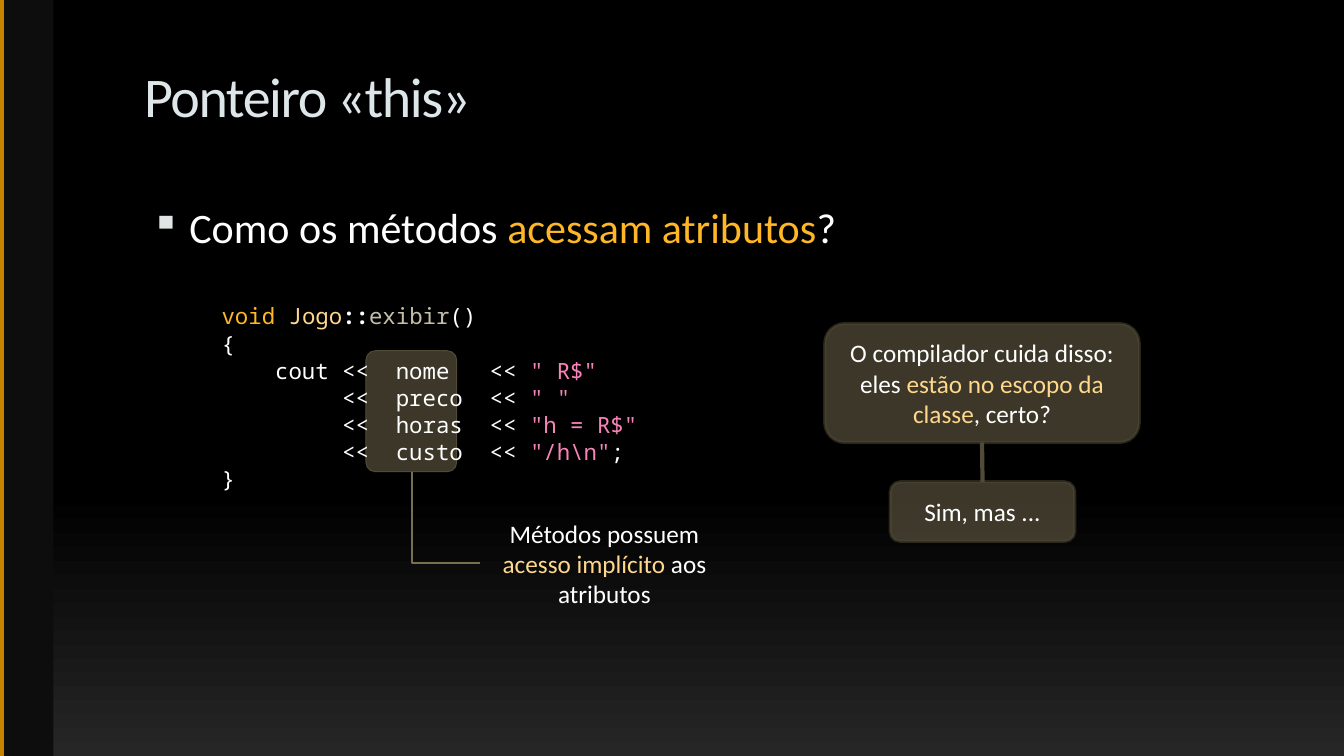
from copy import deepcopy

from lxml import etree
from pptx import Presentation
from pptx.dml.color import RGBColor
from pptx.enum.shapes import MSO_CONNECTOR, MSO_SHAPE
from pptx.enum.text import MSO_ANCHOR, PP_ALIGN
from pptx.oxml.ns import qn
from pptx.util import Inches, Pt

STRAIGHT, ELBOW = MSO_CONNECTOR.STRAIGHT, MSO_CONNECTOR.ELBOW
RECT, ROUND_RECT = MSO_SHAPE.RECTANGLE, MSO_SHAPE.ROUNDED_RECTANGLE
TOP, MIDDLE = MSO_ANCHOR.TOP, MSO_ANCHOR.MIDDLE
LEFT, CENTER = PP_ALIGN.LEFT, PP_ALIGN.CENTER
SANS, MONO = "Calibri", "Noto Sans Mono"

WHITE, ORANGE, YELLOW = "FFFFFF", "FFB728", "FFD88B"
PINK, SAND, OLIVE, EDGE = "F684B8", "C4BEA9", "786F51", "504A36"
BACKGROUND = [(0, "000000"), (0.65, "000000"), (1, "262626")]

# Each paragraph is a list of (text, colour) runs
TITLE = [[("Ponteiro «this»", "DDE6E8")]]
QUESTION = [[("Como os métodos ", WHITE), ("acessam atributos", ORANGE), ("?", WHITE)]]
CODE = [
    [("void ", ORANGE), ("Jogo", YELLOW), ("::", WHITE), ("exibir", SAND), ("()", WHITE)],
    [("{", WHITE)],
    [("    cout <<  nome   << ", WHITE), ('" R$"', PINK)],
    [("         <<  preco  << ", WHITE), ('" "', PINK)],
    [("         <<  horas  << ", WHITE), ('"h = R$"', PINK)],
    [("         <<  custo  << ", WHITE), ('"/h\\n"', PINK), (";", WHITE)],
    [("}", WHITE)],
]
NOTE = [[("Métodos possuem ", WHITE), ("acesso implícito", YELLOW), (" aos atributos", WHITE)]]
SCOPE = [[("O compilador cuida disso: eles ", WHITE),
          ("estão no escopo da classe", YELLOW), (", certo?", WHITE)]]
REPLY = [[("Sim, mas ...", WHITE)]]


def rgb(color):
    return RGBColor.from_string(color)


def set_half_transparent(fill_parent):
    for clr in fill_parent.iter(qn("a:srgbClr")):
        etree.SubElement(clr, qn("a:alpha")).set("val", "50000")


def write(sp, paragraphs, size, font=SANS, align=LEFT, anchor=TOP):
    tf = sp.text_frame
    tf.word_wrap = True
    tf.vertical_anchor = anchor
    for i, runs in enumerate(paragraphs):
        p = tf.paragraphs[0] if i == 0 else tf.add_paragraph()
        p.alignment = align
        for text, color in runs:
            r = p.add_run()
            r.text = text
            r.font.name = font
            r.font.size = Pt(size)
            r.font.color.rgb = rgb(color)
    return tf


def add_text(slide, box, paragraphs, size, **style):
    sp = slide.shapes.add_textbox(*map(Inches, box))
    return write(sp, paragraphs, size, **style)


def add_panel(slide, box, line_width, line_transparent=True):
    """Rounded olive panel that lets the background show through."""
    sp = slide.shapes.add_shape(ROUND_RECT, *map(Inches, box))
    sp.shadow.inherit = False
    sp.fill.solid()
    sp.fill.fore_color.rgb = rgb(OLIVE)
    if line_transparent:
        sp.line.color.rgb = rgb(EDGE)
        set_half_transparent(sp._element.spPr)
    else:
        set_half_transparent(sp._element.spPr)
        sp.line.color.rgb = rgb(EDGE)
    sp.line.width = Pt(line_width)
    return sp


def add_line(slide, kind, ends, color, width):
    line = slide.shapes.add_connector(kind, *map(Inches, ends))
    line.line.color.rgb = rgb(color)
    line.line.width = Pt(width)
    etree.SubElement(line._element.spPr, qn("a:effectLst"))
    return line


def paint_background(slide):
    fill = slide.background.fill
    fill.gradient()
    fill.gradient_angle = 270
    first = fill.gradient_stops[0]._gs
    first.addnext(deepcopy(first))
    for stop, (position, color) in zip(fill.gradient_stops, BACKGROUND):
        stop.position = position
        stop.color.rgb = rgb(color)


def add_bullet(p, char, color):
    pPr = p._p.get_or_add_pPr()
    pPr.set("marL", str(Inches(0.45)))
    pPr.set("indent", str(Inches(-0.38)))
    bu_clr = etree.SubElement(pPr, qn("a:buClr"))
    etree.SubElement(bu_clr, qn("a:srgbClr")).set("val", color)
    etree.SubElement(pPr, qn("a:buSzPct")).set("val", "95000")
    etree.SubElement(pPr, qn("a:buChar")).set("char", char)


def main():
    prs = Presentation()
    prs.slide_width, prs.slide_height = Inches(13.33), Inches(7.5)
    slide = prs.slides.add_slide(prs.slide_layouts[6])
    paint_background(slide)

    strip = slide.shapes.add_shape(RECT, 0, 0, Inches(0.53), prs.slide_height)
    strip.shadow.inherit = False
    strip.fill.solid()
    strip.fill.fore_color.rgb = rgb("0D0D0D")
    strip.line.fill.background()
    add_line(slide, STRAIGHT, (0.02, 0, 0.02, 7.5), "C58300", 3)

    title = add_text(slide, (1.33, 0.56, 9.51, 1), TITLE, 40)
    title.paragraphs[0].runs[0].font._element.set("spc", "-100")
    question = add_text(slide, (1.33, 1.95, 11.33, 0.7), QUESTION, 30)
    add_bullet(question.paragraphs[0], "▪", "E0E4E5")

    highlight = add_panel(slide, (3.63, 3.48, 0.9, 1.2), 0.75, line_transparent=False)
    highlight.adjustments[0] = 0.104
    code = add_text(slide, (2.1, 2.95, 5.24, 1.99), CODE, 16, font=MONO)
    for p in code.paragraphs:
        p.line_spacing = Pt(19.4)
    code.paragraphs[0].runs[2].font.bold = True

    # Down from the highlight, then right to the note: a turned, mirrored elbow
    elbow = add_line(slide, ELBOW, (3.97, 4.8, 4.88, 5.47), OLIVE, 1.5)
    spPr = elbow._element.spPr
    spPr.find(qn("a:prstGeom")).set("prst", "bentConnector2")
    xfrm = spPr.find(qn("a:xfrm"))
    xfrm.set("rot", str(270 * 60000))
    xfrm.set("flipH", "1")
    add_text(slide, (4.76, 5.09, 2.47, 1.01), NOTE, 18, align=CENTER)

    scope = add_panel(slide, (8.18, 3.21, 3.12, 1.18), 2.25)
    write(scope, SCOPE, 18, align=CENTER, anchor=MIDDLE)
    reply = add_panel(slide, (8.83, 4.78, 1.83, 0.59), 2.25)
    write(reply, REPLY, 18, align=CENTER, anchor=MIDDLE)
    link = add_line(slide, STRAIGHT, (9.74, 4.39, 9.74, 4.78), EDGE, 3)
    link.begin_connect(scope, 2)
    link.end_connect(reply, 0)

    prs.save("out.pptx")


if __name__ == "__main__":
    main()
